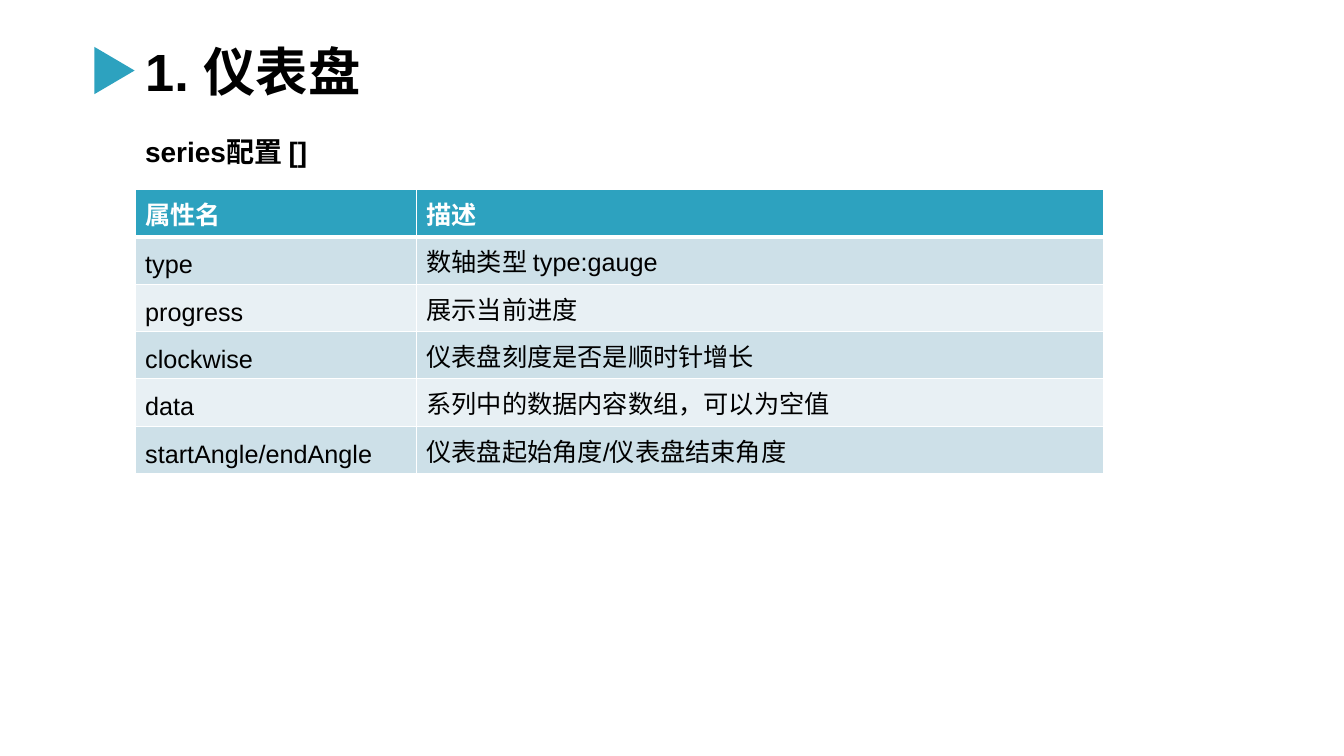
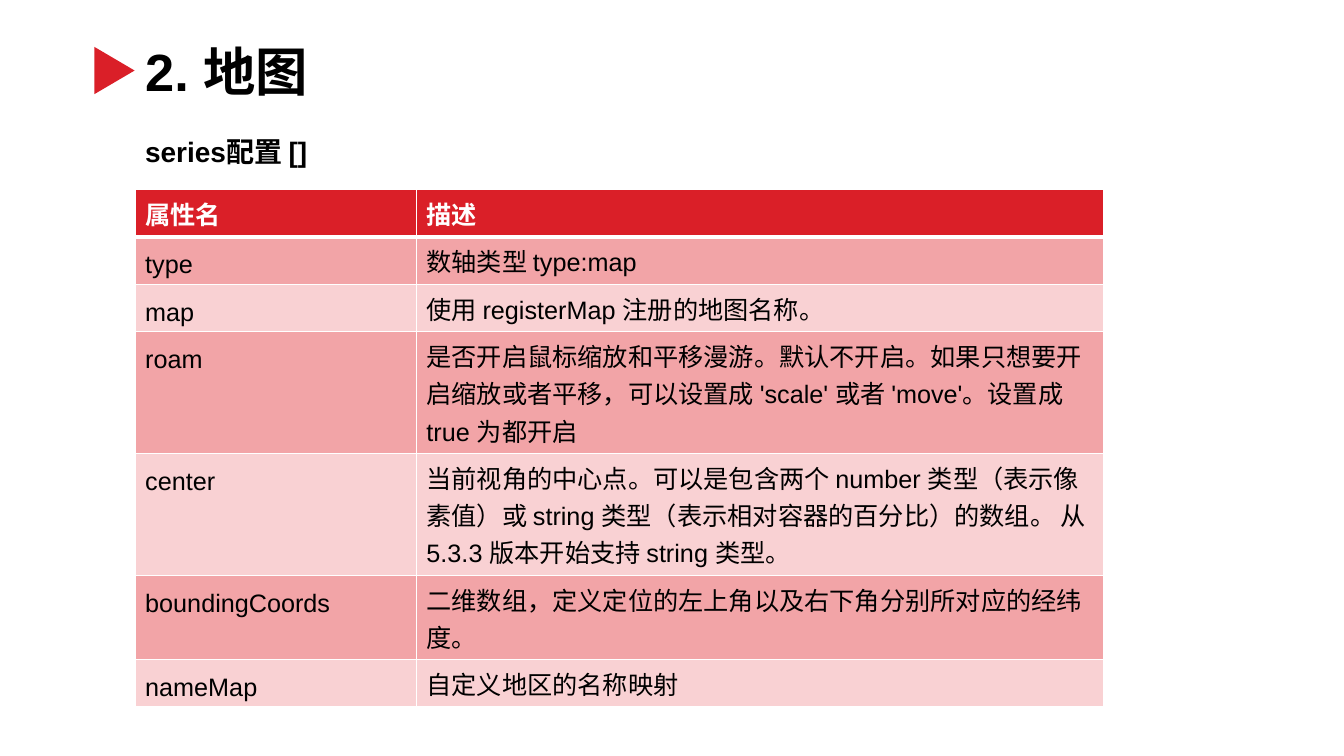
from pptx import Presentation
from pptx.dml.color import RGBColor
from pptx.enum import lang, shapes, text
from pptx.oxml import parse_xml
from pptx.oxml.ns import nsdecls
from pptx.util import Inches, Pt

FONT = "Arial"
BLACK = RGBColor(0x00, 0x00, 0x00)
WHITE = RGBColor(0xFF, 0xFF, 0xFF)
# Each theme: accent, odd band, even band
BLUE_THEME = (RGBColor(0x2D, 0xA2, 0xBF), RGBColor(0xCD, 0xE0, 0xE8), RGBColor(0xE8, 0xF0, 0xF4))
RED_THEME = (RGBColor(0xDA, 0x1F, 0x28), RGBColor(0xF2, 0xA4, 0xA7), RGBColor(0xF9, 0xD1, 0xD3))

LEFT = Inches(1.34)
COLUMN_WIDTHS = (Inches(2.79), Inches(6.82))
ROW_HEIGHT = Inches(0.47)
TITLE_ONLY = 5
SUBTITLE = "series配置 []"
HEADER = ("属性名", "描述")

GAUGE_ROWS = [
    ("type", "数轴类型 type:gauge"),
    ("progress", "展示当前进度"),
    ("clockwise", "仪表盘刻度是否是顺时针增长"),
    ("data", "系列中的数据内容数组，可以为空值"),
    ("startAngle/endAngle", "仪表盘起始角度/仪表盘结束角度"),
]
MAP_ROWS = [
    ("type", "数轴类型 type:map"),
    ("map", "使用 registerMap 注册的地图名称。"),
    ("roam", "是否开启鼠标缩放和平移漫游。默认不开启。如果只想要开启缩放或者平移，"
             "可以设置成 'scale' 或者 'move'。设置成 true 为都开启"),
    ("center", "当前视角的中心点。可以是包含两个 number 类型（表示像素值）或 string "
               "类型（表示相对容器的百分比）的数组。 从 5.3.3 版本开始支持 string 类型。"),
    ("boundingCoords", "二维数组，定义定位的左上角以及右下角分别所对应的经纬度。"),
    ("nameMap", "自定义地区的名称映射"),
]


def write(frame, content, size, color=BLACK, bold=True):
    """Put one left-aligned run in the frame and return its paragraph."""
    paragraph = frame.paragraphs[0]
    paragraph.alignment = text.PP_ALIGN.LEFT
    run = paragraph.add_run()
    run.text = content
    font = run.font
    font.name, font.size, font.bold = FONT, Pt(size), bold
    font.color.rgb = color
    font.language_id = lang.MSO_LANGUAGE_ID.SIMPLIFIED_CHINESE
    return paragraph


def add_title(slide, content):
    title = slide.shapes.title
    title.left, title.top = LEFT, Inches(0.34)
    title.width, title.height = Inches(2.7), Inches(0.73)
    frame = title.text_frame
    frame.auto_size = text.MSO_AUTO_SIZE.NONE
    frame.vertical_anchor = text.MSO_ANCHOR.TOP
    write(frame, content, 37.4)


def add_title_marker(slide, accent):
    marker = slide.shapes.add_shape(
        shapes.MSO_SHAPE.ISOSCELES_TRIANGLE,
        Inches(0.9), Inches(0.5), Inches(0.47), Inches(0.4))
    marker.rotation = 90
    marker.shadow.inherit = False
    marker.fill.solid()
    marker.fill.fore_color.rgb = accent
    marker.line.fill.background()


def add_subtitle(slide):
    subtitle = slide.shapes.add_textbox(LEFT, Inches(1.29), Inches(4.44), Inches(0.44))
    subtitle.text_frame.word_wrap = True
    write(subtitle.text_frame, SUBTITLE, 20)


def set_borders(cell, top, bottom):
    """Draw white borders; top and bottom are widths in points."""
    properties = cell._tc.get_or_add_tcPr()
    for side, width in (("L", 1), ("R", 1), ("T", top), ("B", bottom)):
        properties.append(parse_xml(
            f'<a:ln{side} {nsdecls("a")} w="{Pt(width)}"><a:solidFill>'
            f'<a:srgbClr val="{WHITE}"/></a:solidFill></a:ln{side}>'))


def add_property_table(slide, rows, theme):
    accent, odd_band, even_band = theme
    entries = [HEADER, *rows]
    table = slide.shapes.add_table(
        len(entries), len(HEADER), LEFT, Inches(1.88),
        sum(COLUMN_WIDTHS), ROW_HEIGHT * len(entries)).table
    for column, width in zip(table.columns, COLUMN_WIDTHS):
        column.width = width
    for index, entry in enumerate(entries):
        is_header = index == 0
        band = accent if is_header else odd_band if index % 2 else even_band
        for cell, content in zip(table.rows[index].cells, entry):
            set_borders(cell, top=3 if index == 1 else 1, bottom=3 if is_header else 1)
            cell.fill.solid()
            cell.fill.fore_color.rgb = band
            paragraph = write(cell.text_frame, content, 18,
                              WHITE if is_header else BLACK, is_header)
            paragraph.line_spacing = Pt(26.6)


def add_property_slide(presentation, title, rows, theme):
    slide = presentation.slides.add_slide(presentation.slide_layouts[TITLE_ONLY])
    add_title(slide, title)
    add_title_marker(slide, theme[0])
    add_property_table(slide, rows, theme)
    add_subtitle(slide)


def main():
    presentation = Presentation()
    presentation.slide_width, presentation.slide_height = Inches(13.33), Inches(7.5)
    add_property_slide(presentation, "1. 仪表盘", GAUGE_ROWS, BLUE_THEME)
    add_property_slide(presentation, "2. 地图", MAP_ROWS, RED_THEME)
    presentation.save("out.pptx")


if __name__ == "__main__":
    main()
